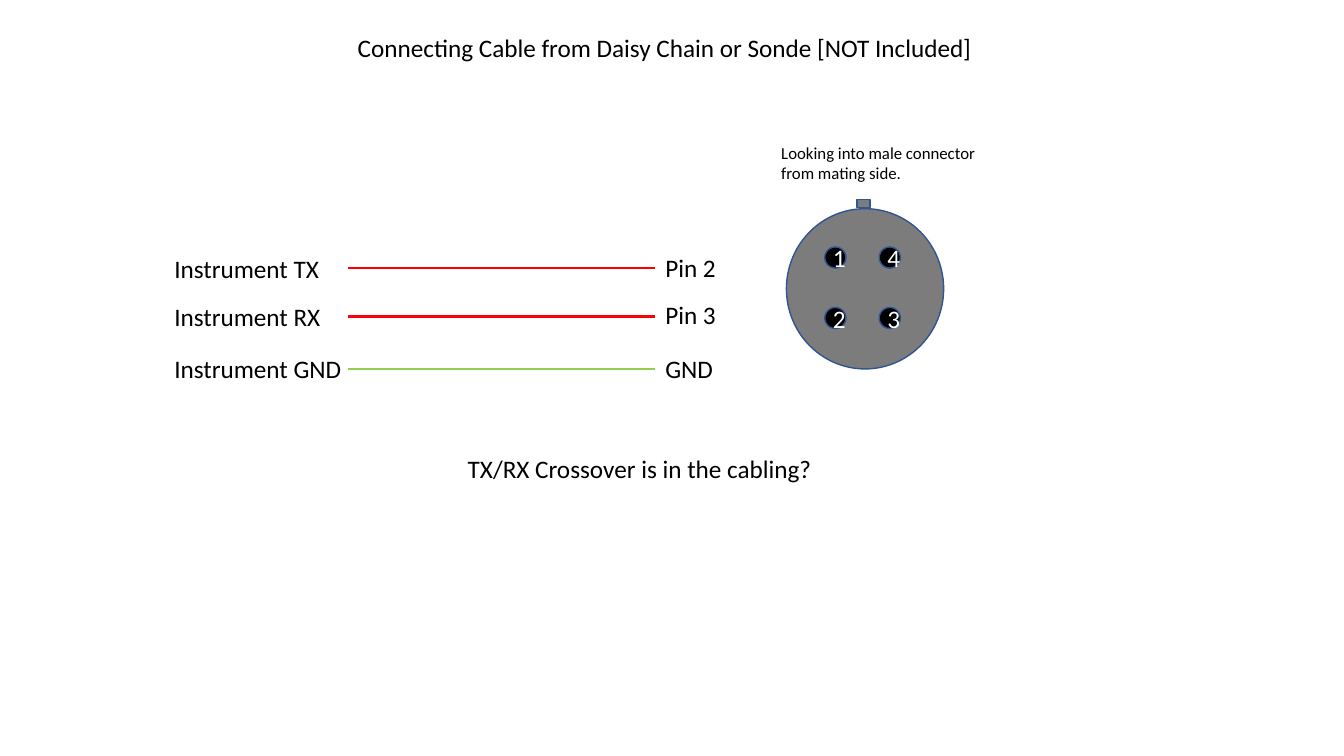
from lxml import etree
from pptx import Presentation
from pptx import util as u
from pptx.dml.color import RGBColor
from pptx.enum import shapes, text
from pptx.oxml.ns import qn

COLORS = {"text": "000000", "digit": "FFFFFF", "body": "7C7C7C", "pin": "000000",
          "edge": "325491", "signal": "FF0000", "ground": "92D050"}
FONT = "Calibri"

NOTES = [
    ("Connecting Cable from Daisy Chain or Sonde [NOT Included]", 3.45, 0.27, 6.77, 0.4, 18),
    ("Looking into male connector from mating side.", 7.65, 1.37, 2.35, 0.5, 12),
    ("TX/RX Crossover is in the cabling?", 4.54, 4.45, 5.09, 0.4, 18),
]
WIRES = [
    ("Instrument TX", "Pin 2", 2.66, 2.45, "signal"),
    ("Instrument RX", "Pin 3", 3.14, 2.92, "signal"),
    ("Instrument GND", "GND", 3.66, 3.46, "ground"),
]
WIRE_START, WIRE_END = 3.45, 6.5
LABEL_LEFT, LABEL_WIDTH, PIN_WIDTH, LABEL_HEIGHT = 1.63, 2.02, 0.87, 0.4

SHELL = (7.8, 2.07, 1.56, 1.59)
KEY = (8.5, 1.98, 0.13, 0.08)
PIN_SIZE = 0.21
PIN_COLUMNS, PIN_ROWS = (8.18, 8.72), (2.45, 3.05)
PIN_GRID = (("1", "4"), ("2", "3"))


def rgb(name):
    return RGBColor.from_string(COLORS[name])


def inches(*lengths):
    return [u.Inches(length) for length in lengths]


def write(frame, words, size, color):
    para = frame.paragraphs[0]
    span = para.add_run()
    span.text = words
    for key, value in {"name": FONT, "size": u.Pt(size)}.items():
        setattr(span.font, key, value)
    span.font.color.rgb = rgb(color)
    return para


def add_label(page, words, left, top, width, height, size=18):
    box = page.shapes.add_textbox(*inches(left, top, width, height))
    frame = box.text_frame
    for key, value in {"word_wrap": True,
                       "auto_size": text.MSO_AUTO_SIZE.SHAPE_TO_FIT_TEXT}.items():
        setattr(frame, key, value)
    write(frame, words, size, "text")


def add_part(group, kind, place, fill):
    part = group.shapes.add_shape(kind, *inches(*place))
    part.shadow.inherit = False
    part.fill.solid()
    part.fill.fore_color.rgb = rgb(fill)
    part.line.color.rgb = rgb("edge")
    part.line.width = u.Pt(1)
    return part


def add_wire(page, height, color):
    wire = page.shapes.add_connector(
        shapes.MSO_CONNECTOR.STRAIGHT, *inches(WIRE_START, height, WIRE_END, height))
    wire.line.color.rgb = rgb(color)
    wire.line.width = u.Pt(1.75)
    etree.SubElement(wire._element.spPr, qn("a:effectLst"))


def add_socket(page):
    oval, block = shapes.MSO_SHAPE.OVAL, shapes.MSO_SHAPE.RECTANGLE
    group = page.shapes.add_group_shape()
    add_part(group, oval, SHELL, "body")
    for top, digits in zip(PIN_ROWS, PIN_GRID):
        for left, digit in zip(PIN_COLUMNS, digits):
            pin = add_part(group, oval, (left, top, PIN_SIZE, PIN_SIZE), "pin")
            pin.text_frame.vertical_anchor = text.MSO_ANCHOR.MIDDLE
            para = write(pin.text_frame, digit, 18, "digit")
            para.alignment = text.PP_ALIGN.CENTER
    add_part(group, block, KEY, "body")


deck = Presentation()
deck.slide_width, deck.slide_height = inches(13.33, 7.5)
page = deck.slides.add_slide(deck.slide_layouts[6])

add_socket(page)
for note in NOTES:
    add_label(page, *note)
for source, target, height, target_top, color in WIRES:
    add_wire(page, height, color)
    add_label(page, source, LABEL_LEFT, height - LABEL_HEIGHT / 2, LABEL_WIDTH, LABEL_HEIGHT)
    add_label(page, target, WIRE_END, target_top, PIN_WIDTH, LABEL_HEIGHT)

deck.save("out.pptx")
